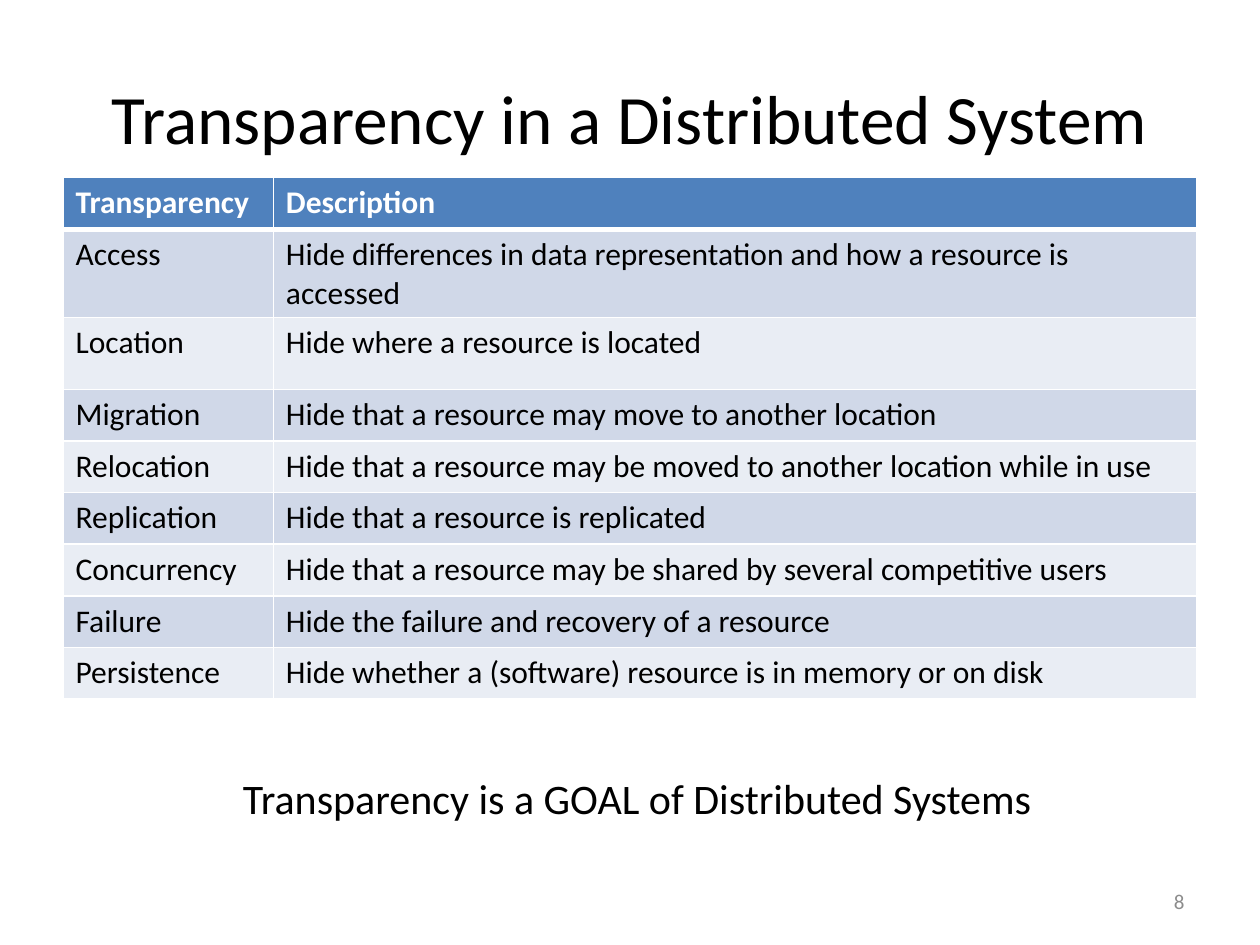
import pptx
import pptx.dml.color
import pptx.enum.text
import pptx.oxml
import pptx.oxml.ns
import pptx.util
from pptx.util import Inches

RGBColor = pptx.dml.color.RGBColor
Align = pptx.enum.text.PP_ALIGN
Anchor = pptx.enum.text.MSO_ANCHOR

BLACK = RGBColor(0x00, 0x00, 0x00)
WHITE = RGBColor(0xFF, 0xFF, 0xFF)
GRAY = RGBColor(0x8C, 0x8C, 0x8C)
BLUE = RGBColor(0x4F, 0x81, 0xBD)
BANDS = (RGBColor(0xE9, 0xED, 0xF4), RGBColor(0xD0, 0xD8, 0xE8))

ROWS = [
    ("Transparency", "Description"),
    ("Access", "Hide differences in data representation and how a resource is accessed"),
    ("Location", "Hide where a resource is located"),
    ("Migration", "Hide that a resource may move to another location"),
    ("Relocation", "Hide that a resource may be moved to another location while in use"),
    ("Replication", "Hide that a resource is replicated"),
    ("Concurrency", "Hide that a resource may be shared by several competitive users"),
    ("Failure", "Hide the failure and recovery of a resource"),
    ("Persistence", "Hide whether a (software) resource is in memory or on disk"),
]
COLUMN_WIDTHS = (1.67, 7.33)
ROW_HEIGHT = 0.41
TALL_ROWS = {2: 0.57}


class SlideBuilder:
    def __init__(self, slide, font_name="Calibri"):
        self.slide = slide
        self.font_name = font_name

    def fill_text(self, frame, text, size, color, bold=False, align=Align.LEFT):
        para = frame.paragraphs[0]
        para.alignment = align
        span = para.add_run()
        span.text = text
        style = {"name": self.font_name, "size": pptx.util.Pt(size), "bold": bold}
        for key, value in style.items():
            setattr(span.font, key, value)
        span.font.color.rgb = color

    def text(self, text, place, size, color=BLACK, align=Align.LEFT, anchor=Anchor.TOP):
        box = self.slide.shapes.add_textbox(*map(Inches, place))
        layout = {"word_wrap": True, "vertical_anchor": anchor}
        for key, value in layout.items():
            setattr(box.text_frame, key, value)
        self.fill_text(box.text_frame, text, size, color, align=align)

    def borders(self, cell, top, bottom):
        """Draw white cell edges; top and bottom are widths in points."""
        properties = cell._tc.get_or_add_tcPr()
        for side, width in (("L", 1), ("R", 1), ("T", top), ("B", bottom)):
            properties.append(pptx.oxml.parse_xml(
                f'<a:ln{side} {pptx.oxml.ns.nsdecls("a")} w="{pptx.util.Pt(width)}">'
                f'<a:solidFill><a:srgbClr val="{WHITE}"/></a:solidFill></a:ln{side}>'))

    def table(self, rows, left, top, widths, heights):
        place = map(Inches, (left, top, sum(widths), sum(heights)))
        table = self.slide.shapes.add_table(len(rows), len(widths), *place).table
        for column, width in zip(table.columns, widths):
            column.width = Inches(width)
        for index, (row, height) in enumerate(zip(table.rows, heights)):
            row.height = Inches(height)
            header = index == 0
            for cell, text in zip(row.cells, rows[index]):
                self.borders(cell, top=3 if index == 1 else 1, bottom=3 if header else 1)
                cell.fill.solid()
                cell.fill.fore_color.rgb = BLUE if header else BANDS[index % 2]
                self.fill_text(cell.text_frame, text, 18, WHITE if header else BLACK, bold=header)


def main():
    deck = pptx.Presentation()
    deck.slide_width, deck.slide_height = Inches(10), Inches(7.5)
    page = SlideBuilder(deck.slides.add_slide(deck.slide_layouts[6]))
    page.text("Transparency in a Distributed System", (0.5, 0.3, 9, 1.25), 39.6,
              align=Align.CENTER, anchor=Anchor.MIDDLE)
    heights = [TALL_ROWS.get(index, ROW_HEIGHT) for index in range(len(ROWS))]
    page.table(ROWS, 0.5, 1.41, COLUMN_WIDTHS, heights)
    page.text("Transparency is a GOAL of Distributed Systems", (1.83, 6.08, 6.75, 0.5), 24)
    page.text("8", (7.17, 6.95, 2.33, 0.4), 12, GRAY, Align.RIGHT, Anchor.MIDDLE)
    deck.save("out.pptx")


if __name__ == "__main__":
    main()
